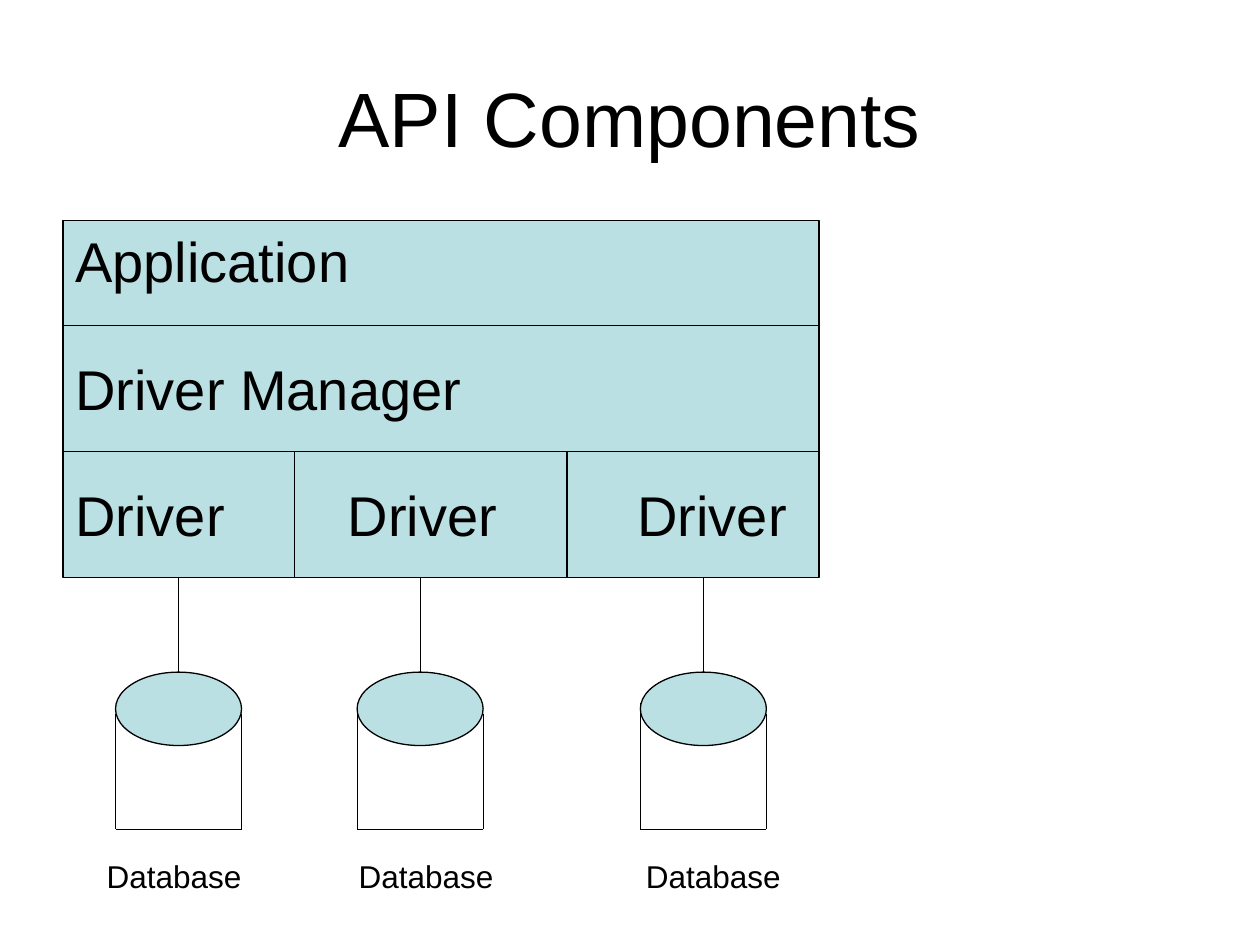
from dataclasses import dataclass

from lxml.etree import SubElement
from pptx import Presentation
from pptx.dml.color import RGBColor
from pptx.enum.shapes import MSO_CONNECTOR, MSO_SHAPE
from pptx.enum.text import MSO_ANCHOR as Anchor, PP_ALIGN as Align
from pptx.oxml.ns import qn
from pptx.util import Cm, Pt

BLACK = RGBColor(0x00, 0x00, 0x00)
PALE_TEAL = RGBColor(0xBB, 0xE0, 0xE3)

STACK_LEFT, STACK_WIDTH = 1.27, 15.24
DRIVER_TOP, DRIVER_BOTTOM = 9.1, 11.64
DIVIDERS = (5.93, 11.43)
DISK_TOP, DISK_WIDTH, DISK_HEIGHT, DISK_BOTTOM = 13.55, 2.54, 1.48, 16.72
RIGHT_SIDE_TOP = 14.39


@dataclass(frozen=True)
class Layer:
    labels: tuple[str, ...]
    top: float
    height: float
    anchor: Anchor = Anchor.MIDDLE
    tabs: tuple[float, ...] = ()


@dataclass(frozen=True)
class Database:
    left: float
    left_side_top: float


LAYERS = (
    Layer(("Driver Manager",), 6.56, 2.54),
    Layer(("Application",), 4.45, 2.11, Anchor.TOP),
    Layer(("Driver",) * 3, DRIVER_TOP, DRIVER_BOTTOM - DRIVER_TOP, tabs=(5.49, 11.33)),
)
DATABASES = (Database(2.33, 14.39), Database(7.2, 14.18), Database(12.91, 14.18))


def write(box, labels: tuple[str, ...], size: int, anchor: Anchor = Anchor.TOP,
          align: Align = Align.LEFT, tabs: tuple[float, ...] = ()) -> None:
    frame = box.text_frame
    frame.word_wrap = True
    frame.vertical_anchor = anchor
    para = frame.paragraphs[0]
    para.alignment = align
    if tabs:
        tab_list = SubElement(para._p.get_or_add_pPr(), qn("a:tabLst"))
        for position in tabs:
            SubElement(tab_list, qn("a:tab"), pos=str(int(Cm(position))), algn="l")
    span = para.add_run()
    span.text = "\t".join(labels)
    for name, value in {"name": "Arial", "size": Pt(size)}.items():
        setattr(span.font, name, value)
    span.font.color.rgb = BLACK


def outline(item) -> None:
    item.line.color.rgb = BLACK
    item.line.width = Pt(0.75)


def draw_text(page, labels: tuple[str, ...], left: float, top: float, width: float,
              height: float, size: int, **layout) -> None:
    box = page.shapes.add_textbox(Cm(left), Cm(top), Cm(width), Cm(height))
    write(box, labels, size, **layout)


def draw_shape(page, kind: MSO_SHAPE, left: float, top: float, width: float, height: float):
    shape = page.shapes.add_shape(kind, Cm(left), Cm(top), Cm(width), Cm(height))
    shape.shadow.inherit = False
    shape.fill.solid()
    shape.fill.fore_color.rgb = PALE_TEAL
    outline(shape)
    return shape


def draw_line(page, x1: float, y1: float, x2: float, y2: float) -> None:
    line = page.shapes.add_connector(MSO_CONNECTOR.STRAIGHT, Cm(x1), Cm(y1), Cm(x2), Cm(y2))
    outline(line)
    SubElement(line._element.spPr, qn("a:effectLst"))


def draw_layer(page, layer: Layer) -> None:
    box = draw_shape(page, MSO_SHAPE.RECTANGLE, STACK_LEFT, layer.top, STACK_WIDTH, layer.height)
    write(box, layer.labels, 32, anchor=layer.anchor, tabs=layer.tabs)


def draw_database(page, database: Database) -> None:
    left, right = database.left, database.left + DISK_WIDTH
    middle = left + DISK_WIDTH / 2
    draw_line(page, middle, DRIVER_BOTTOM, middle, DISK_TOP)
    draw_shape(page, MSO_SHAPE.OVAL, left, DISK_TOP, DISK_WIDTH, DISK_HEIGHT)
    draw_line(page, left, database.left_side_top, left, DISK_BOTTOM)
    draw_line(page, right, RIGHT_SIDE_TOP, right, DISK_BOTTOM)
    draw_line(page, left, DISK_BOTTOM, right, DISK_BOTTOM)


def main() -> None:
    deck = Presentation()
    for name, value in {"slide_width": Cm(25.4), "slide_height": Cm(19.05)}.items():
        setattr(deck, name, value)
    page = deck.slides.add_slide(deck.slide_layouts[6])
    draw_text(page, ("API Components",), 1.27, 0.76, 22.86, 3.18, 44,
              anchor=Anchor.MIDDLE, align=Align.CENTER)
    for layer in LAYERS:
        draw_layer(page, layer)
    for divider in DIVIDERS:
        draw_line(page, divider, DRIVER_TOP, divider, DRIVER_BOTTOM)
    for database in DATABASES:
        draw_database(page, database)
    draw_text(page, ("Database",) * 3, 1.9, 17.15, 15.44, 1.02, 18, tabs=(5.08, 10.87))
    deck.save("out.pptx")


if __name__ == "__main__":
    main()
